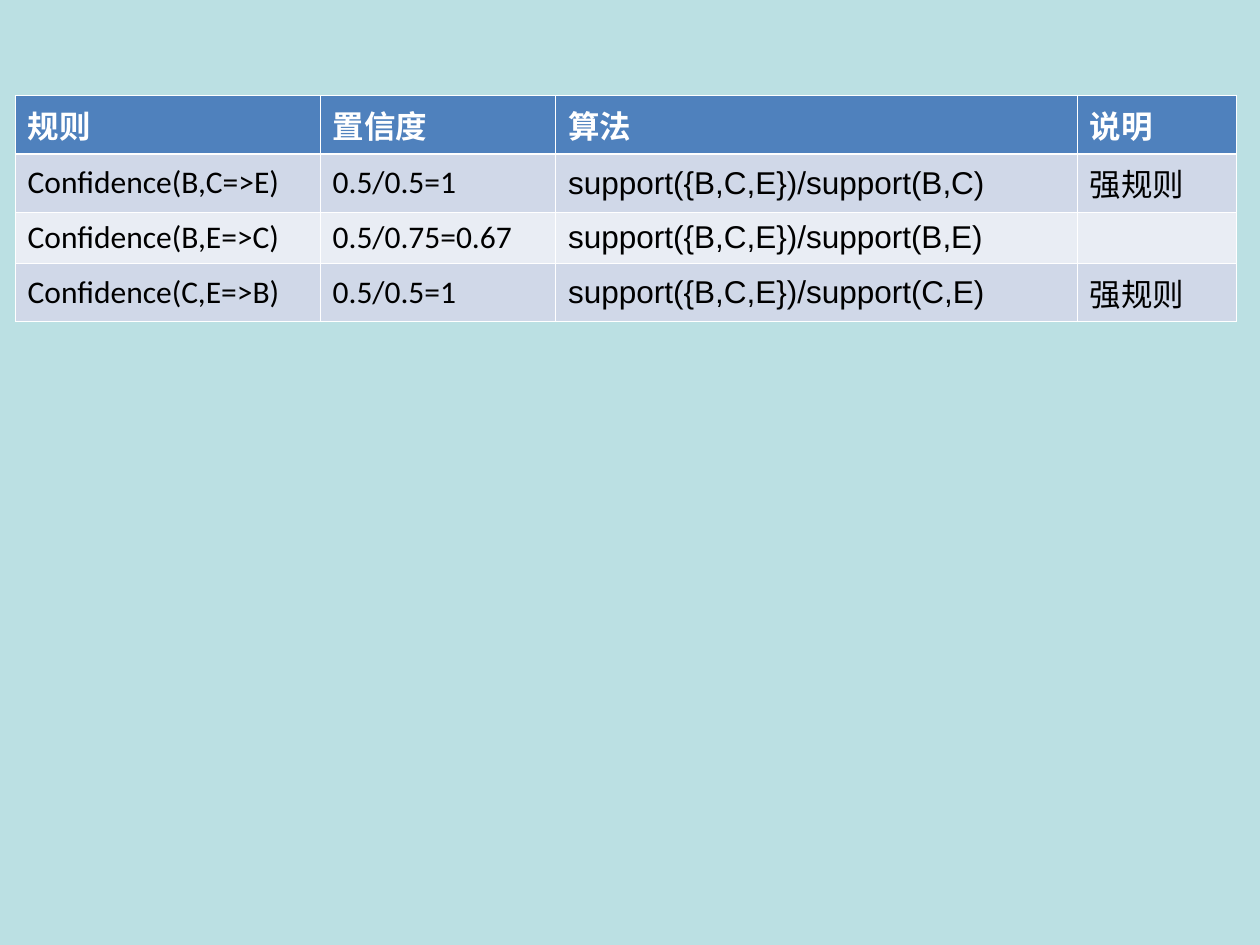
from pptx import Presentation
from pptx.dml.color import RGBColor as Rgb
from pptx.enum.text import MSO_ANCHOR as Anchor
from pptx.oxml import parse_xml
from pptx.oxml.ns import nsdecls
from pptx.util import Inches as In, Pt

THEME = {
    "back": "BBE0E3", "head": "4F81BD", "bands": ("D0D8E8", "E9EDF4"),
    "light": "FFFFFF", "dark": "000000", "size": 18,
    "fonts": ("Calibri", "Calibri", "Arial", "Calibri"),
    "thin": 0.45, "thick": 1.47,
}
BOX = (0.12, 0.76, 9.69, 1.6)
COLS = (2.42, 1.87, 4.14, 1.26)
ROWS = (
    ("规则", "置信度", "算法", "说明"),
    ("Confidence(B,C=>E)", "0.5/0.5=1", "support({B,C,E})/support(B,C)", "强规则"),
    ("Confidence(B,E=>C)", "0.5/0.75=0.67", "support({B,C,E})/support(B,E)", ""),
    ("Confidence(C,E=>B)", "0.5/0.5=1", "support({B,C,E})/support(C,E)", "强规则"),
)


def edge(cell, row):
    """Rule the four sides of a cell, with a thick line under the header."""
    bold = {0: "B", 1: "T"}.get(row)
    for side in "LRTB":
        width = Pt(THEME["thick" if side == bold else "thin"])
        cell._tc.get_or_add_tcPr().append(parse_xml(
            f'<a:ln{side} {nsdecls("a")} w="{width}"><a:solidFill>'
            f'<a:srgbClr val="{THEME["light"]}"/></a:solidFill></a:ln{side}>'))


def paint(fill, color):
    """Give a fill one solid colour."""
    fill.solid()
    fill.fore_color.rgb = Rgb.from_string(color)


def write(cell, text, row, col):
    """Set the text and look of one cell."""
    head = row == 0
    edge(cell, row)
    paint(cell.fill, THEME["head"] if head else THEME["bands"][(row - 1) % 2])
    cell.vertical_anchor = Anchor.MIDDLE
    if not text:
        return
    run = cell.text_frame.paragraphs[0].add_run()
    run.text = text
    look = {"name": THEME["fonts"][0 if head else col],
            "size": Pt(THEME["size"]), "bold": head}
    for key, value in look.items():
        setattr(run.font, key, value)
    run.font.color.rgb = Rgb.from_string(THEME["light" if head else "dark"])


def rules(slide, box):
    """Place the table of rules in the given box."""
    shape = slide.shapes.add_table(len(ROWS), len(COLS), *map(In, box))
    table = shape.table
    for col, share in zip(table.columns, COLS):
        col.width = In(box[2] * share / sum(COLS))
    for row, line in enumerate(ROWS):
        for col, text in enumerate(line):
            write(table.cell(row, col), text, row, col)


def main():
    """Build and save the slide."""
    deck = Presentation()
    deck.slide_width, deck.slide_height = In(10), In(7.5)
    slide = deck.slides.add_slide(deck.slide_layouts[6])
    paint(slide.background.fill, THEME["back"])
    rules(slide, BOX)
    deck.save("out.pptx")


if __name__ == "__main__":
    main()
